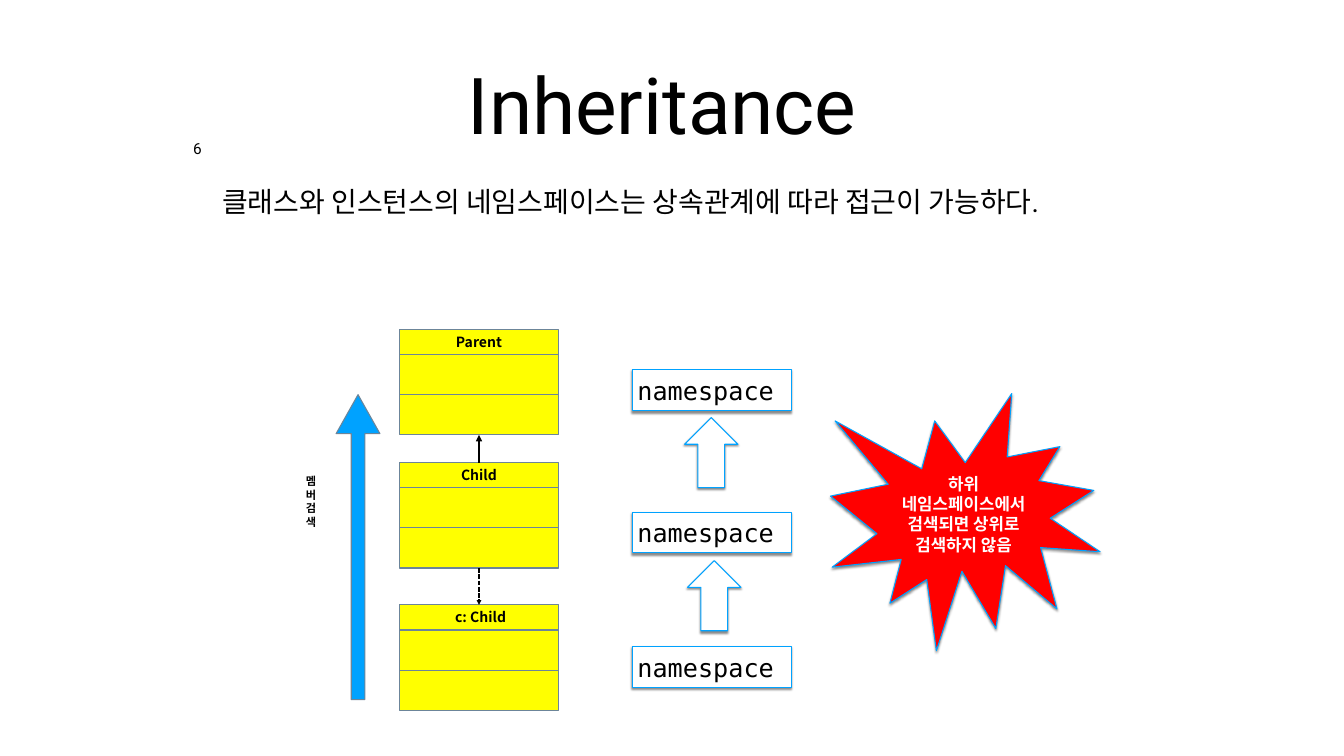
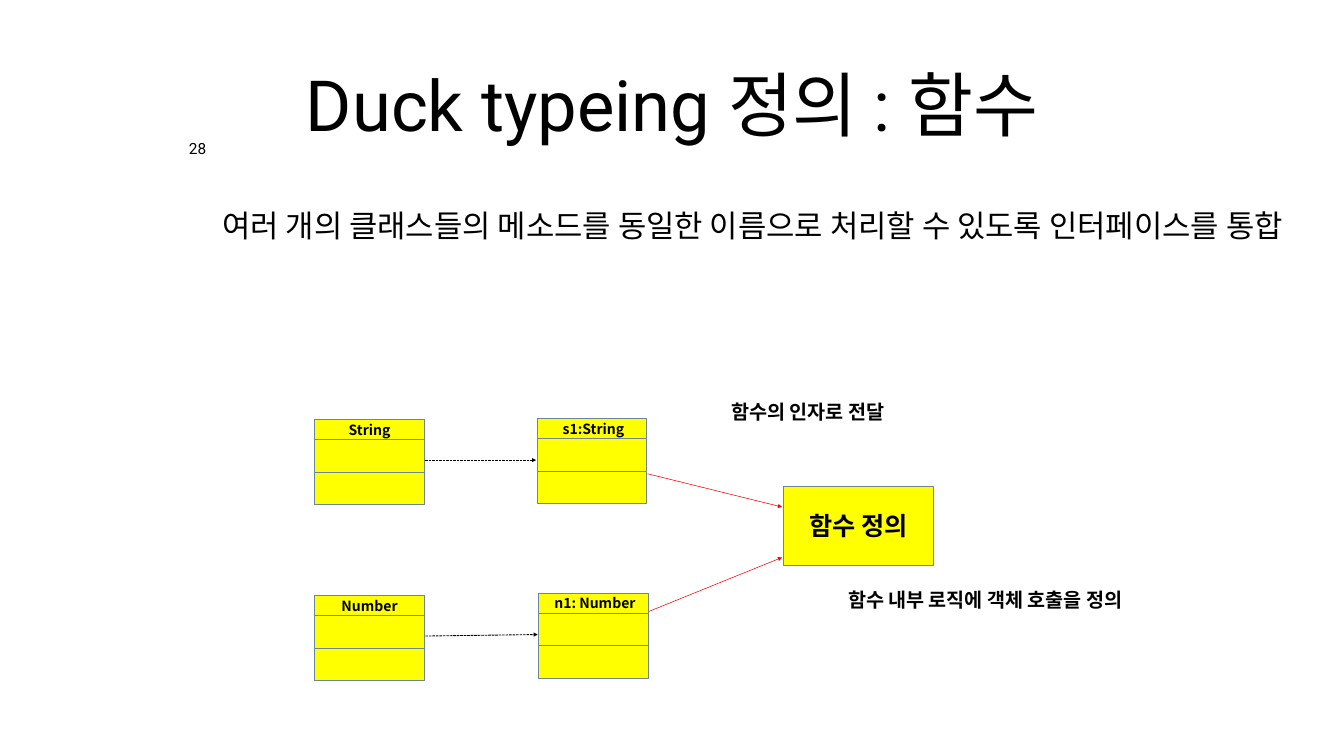
from dataclasses import dataclass

from lxml import etree
from pptx import Presentation
from pptx import util as u
from pptx.dml import color
from pptx.enum import dml, shapes, text
from pptx.oxml.ns import qn


@dataclass(frozen=True)
class Theme:
    # Colours
    black: str = "000000"
    white: str = "FFFFFF"
    yellow: str = "FFFF00"
    blue: str = "00A2FF"
    slate: str = "6C8599"
    red: str = "FF0000"
    # Fonts
    sans: str = "Roboto"
    hangul: str = "Noto Sans CJK KR"
    mono: str = "DejaVu Sans Mono"
    # Type sizes
    page: float = 22
    name: float = 20
    side: float = 16
    burst: float = 24
    note: float = 28
    code: float = 36
    # Line width
    edge: float = 1.5


T = Theme()
KIND = shapes.MSO_SHAPE
LEFT, MID = text.PP_ALIGN.LEFT, text.PP_ALIGN.CENTER
TOP, CENTRE = text.MSO_ANCHOR.TOP, text.MSO_ANCHOR.MIDDLE


def rgb(code):
    return color.RGBColor.from_string(code)


def area(x, y, w, h):
    return [u.Inches(n) for n in (x, y, w, h)]


# Text
def write(shape, words, size, font=T.hangul, ink=T.black, bold=False,
          align=MID, anchor=CENTRE, pad=(0.1, 0.1), lead=None, wrap=True):
    frame = shape.text_frame
    frame.word_wrap = wrap
    frame.vertical_anchor = anchor
    frame.margin_left = frame.margin_right = u.Inches(pad[0])
    frame.margin_top = frame.margin_bottom = u.Inches(pad[1])
    frame.text = words
    for para in frame.paragraphs:
        para.alignment = align
        if lead:
            para.line_spacing = lead
        for run in para.runs:
            run.font.size = u.Pt(size)
            run.font.name = font
            run.font.bold = bold
            run.font.color.rgb = rgb(ink)
            east = etree.SubElement(run._r.get_or_add_rPr(), qn("a:ea"))
            east.set("typeface", T.hangul)
            run._r.rPr.find(qn("a:latin")).addnext(east)


def label(slide, box, words, size, **form):
    write(slide.shapes.add_textbox(*area(*box)), words, size, **form)


# Shapes
def draw(tree, kind, box, fill=T.yellow, line=T.slate):
    shape = tree.add_shape(kind, *area(*box))
    shape.shadow.inherit = False
    shape.fill.solid()
    shape.fill.fore_color.rgb = rgb(fill)
    shape.line.color.rgb = rgb(line)
    shape.line.width = u.Pt(T.edge)
    return shape


def raised(slide, kind, box, fill=T.white):
    shape = draw(slide.shapes, kind, box, fill, T.blue)
    effects = shape._element.spPr.find(qn("a:effectLst"))
    cast = etree.SubElement(effects, qn("a:outerShdw"), blurRad=str(u.Pt(3)),
                            dist=str(u.Pt(2.4)), dir="5400000",
                            rotWithShape="0")
    tint = etree.SubElement(cast, qn("a:srgbClr"), val=T.black)
    etree.SubElement(tint, qn("a:alpha"), val="45000")
    return shape


def uml(slide, name, x, y, w, h, head):
    """Draw a three-part class box; return its top and bottom parts."""
    group = slide.shapes.add_group_shape()
    row = (h - head) / 2
    parts = [draw(group.shapes, KIND.RECTANGLE, (x, top, w, high))
             for top, high in ((y, head), (y + head, row),
                               (y + head + row, row))]
    write(parts[0], name, T.name, bold=True, pad=(0.1, 0))
    return parts[0], parts[2]


def arrow(slide, start, end, width, ink=T.black, dash=False):
    line = slide.shapes.add_connector(
        shapes.MSO_CONNECTOR.STRAIGHT, *area(*start, *end))
    line.line.color.rgb = rgb(ink)
    line.line.width = u.Pt(width)
    if dash:
        line.line.dash_style = dml.MSO_LINE.SQUARE_DOT
    props = line._element.spPr
    etree.SubElement(props.find(qn("a:ln")), qn("a:tailEnd"), type="triangle")
    etree.SubElement(props, qn("a:effectLst"))
    return line


def link(slide, first, side, last, end, width, dash=False):
    line = arrow(slide, (0, 0), (0, 0), width, dash=dash)
    line.begin_connect(first, side)
    line.end_connect(last, end)


# Parts shared by the slides
def page(deck, title, size, number, body, point, lead, wide):
    slide = deck.slides.add_slide(deck.slide_layouts[6])
    pad = (0.08, 0.08)
    label(slide, (4.8, 0.39, 17.07, 3.32), title, size, font=T.sans, pad=pad)
    label(slide, (4.33, 3.66, wide, 1.92), body, point, font=T.sans,
          align=LEFT, anchor=TOP, pad=pad, lead=lead)
    span = 0.16 + 0.18 * len(number)
    label(slide, (3.92 - span / 2, 2.75, span, 0.45), number, T.page,
          font=T.sans, anchor=TOP, pad=pad, lead=0.8, wrap=False)
    return slide


def inherit(deck):
    slide = page(deck, "Inheritance ", 112, "6",
                 "클래스와 인스턴스의 네임스페이스는 상속관계에 따라 접근이 가능하다.",
                 40, 0.9, 18)

    # Class chain
    base, child, item = [
        uml(slide, name, 7.93, y, 3.15, 2.09, 0.5) for name, y in
        (("Parent", 6.54), ("Child", 9.18), (" c: Child", 12))]
    link(slide, child[0], 0, base[1], 2, 3)
    link(slide, child[1], 2, item[0], 0, 2.25, dash=True)

    # Search direction
    search = draw(slide.shapes, KIND.UP_ARROW, (6.67, 7.83, 0.87, 6.05),
                  fill=T.blue)
    search.adjustments[0], search.adjustments[1] = 0.31, 0.89
    label(slide, (5.62, 9.32, 1.1, 1.28), "\n".join("멤버검색"), T.side,
          bold=True, anchor=TOP)

    # Namespaces
    for y in (7.34, 10.16, 12.83):
        box = raised(slide, KIND.RECTANGLE, (12.55, y, 3.15, 0.81))
        write(box, "namespace", T.code, font=T.mono, align=LEFT)
    for x, y in ((13.42, 8.45), (13.48, 11.29)):
        raised(slide, KIND.RIGHT_ARROW, (x, y, 1.39, 1.06)).rotation = 270

    # Remark
    burst = raised(slide, KIND.EXPLOSION1, (16.48, 7.81, 5.35, 5.1), T.red)
    write(burst, "하위 네임스페이스에서 검색되면 상위로 검색하지 않음", T.burst,
          ink=T.white, bold=True)


def duck(deck):
    slide = page(deck, "Duck typeing 정의 : 함수", 100.8, "28",
                 "여러 개의 클래스들의 메소드를 동일한 이름으로 처리할 수 있도록 인터페이스를 통합",
                 44, 1.5, 21.4)

    # Classes and their objects
    for name, x, y in (("Number", 6.25, 11.82), ("String", 6.25, 8.33),
                       (" n1: Number", 10.69, 11.77),
                       (" s1:String", 10.66, 8.31)):
        uml(slide, name, x, y, 2.17, 1.69, 0.4)
    for start, end in (((8.44, 12.62), (10.67, 12.59)),
                       ((8.44, 9.13), (10.64, 9.13))):
        arrow(slide, start, end, 1.25, dash=True)

    # Function
    func = draw(slide.shapes, KIND.RECTANGLE, (15.54, 9.65, 2.99, 1.57))
    write(func, "함수 정의", T.code, bold=True)
    for start, end in (((12.85, 9.4), (15.52, 10.06)),
                       ((12.88, 12.13), (15.52, 11.06))):
        arrow(slide, start, end, 0.79, T.red)

    # Notes
    for box, words in (((16.48, 11.61, 6.14, 1.04),
                        "함수 내부 로직에 객체 호출을 정의"),
                       ((13.52, 7.89, 5.02, 0.57), "함수의 인자로 전달")):
        label(slide, box, words, T.note, bold=True, anchor=TOP,
              pad=(0.1, 0.05))


def main():
    deck = Presentation()
    deck.slide_width, deck.slide_height = u.Inches(26.67), u.Inches(15)
    inherit(deck)
    duck(deck)
    deck.save("out.pptx")


if __name__ == "__main__":
    main()
